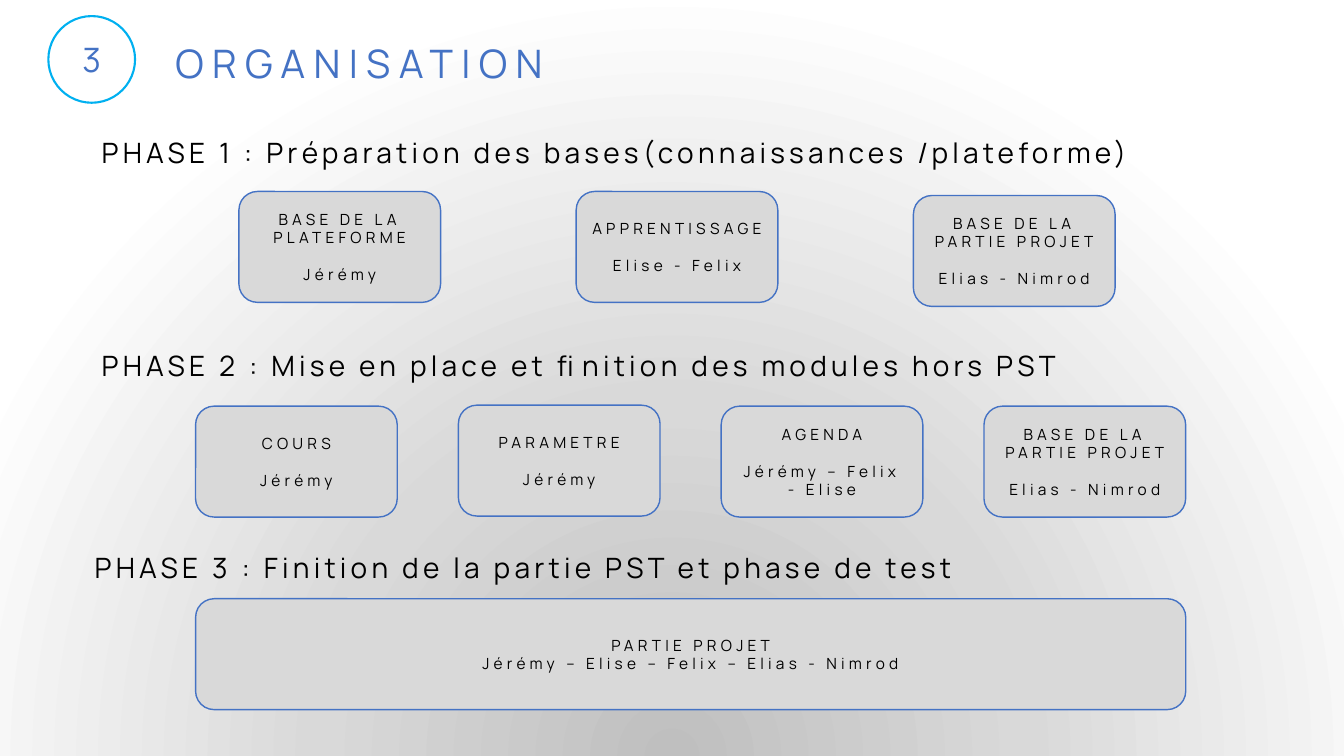
from dataclasses import dataclass

from lxml.etree import fromstring
from pptx import Presentation
from pptx.dml.color import RGBColor
from pptx.enum.shapes import MSO_SHAPE
from pptx.enum.text import MSO_ANCHOR, PP_ALIGN
from pptx.util import Inches, Pt


@dataclass(frozen=True)
class Theme:
    font: str = "Manrope"
    blue: str = "4472C4"
    cyan: str = "00B0F0"
    white: str = "FFFFFF"
    black: str = "000000"
    gray: str = "D9D9D9"
    dark_gray: str = "BFBFBF"
    title_size: int = 28
    number_size: int = 24
    phase_size: int = 20
    box_size: int = 11


theme = Theme()


def write_text(shape, lines, size, color, tracking=0, **paragraph_format):
    """Fill a shape with paragraphs that share one format; tracking is in points."""
    frame = shape.text_frame
    frame.word_wrap = True
    frame.text = "\n".join(lines)
    for paragraph in frame.paragraphs:
        for name, value in paragraph_format.items():
            setattr(paragraph, name, value)
        for run in paragraph.runs:
            font_format = {"name": theme.font, "size": Pt(size), "bold": False}
            for name, value in font_format.items():
                setattr(run.font, name, value)
            run.font.color.rgb = RGBColor.from_string(color)
            run._r.get_or_add_rPr().set("spc", str(tracking * 100))


def add_panel(preset, area, fill, line, line_width):
    """Add a flat shape with centred text; area is left, top, width, height in inches."""
    panel = slide.shapes.add_shape(preset, *map(Inches, area))
    panel.shadow.inherit = False
    panel.fill.solid()
    panel.fill.fore_color.rgb = RGBColor.from_string(fill)
    panel.line.color.rgb = RGBColor.from_string(line)
    panel.line.width = Pt(line_width)
    panel.text_frame.vertical_anchor = MSO_ANCHOR.MIDDLE
    return panel


presentation = Presentation()
presentation.slide_width = Inches(13.33)
presentation.slide_height = Inches(7.5)
slide = presentation.slides.add_slide(presentation.slide_layouts[5])

# Background: circular gradient centred below the slide
stops = "".join(
    f'<a:gs pos="{share * 1000}"><a:srgbClr val="{color}"/></a:gs>'
    for share, color in [(0, theme.dark_gray), (46, theme.gray), (100, theme.white)]
)
background = fromstring(
    '<p:bg xmlns:p="http://schemas.openxmlformats.org/presentationml/2006/main"'
    ' xmlns:a="http://schemas.openxmlformats.org/drawingml/2006/main">'
    f'<p:bgPr><a:gradFill rotWithShape="1"><a:gsLst>{stops}</a:gsLst>'
    '<a:path path="circle">'
    '<a:fillToRect l="50000" t="130000" r="50000" b="-30000"/></a:path>'
    "</a:gradFill><a:effectLst/></p:bgPr></p:bg>"
)
slide.element.cSld.insert(0, background)

# Section number and title
number = add_panel(MSO_SHAPE.OVAL, (0.48, 0.16, 0.86, 0.86), theme.white, theme.cyan, 1.5)
write_text(number, ["3"], theme.number_size, theme.blue, alignment=PP_ALIGN.CENTER)

title = slide.shapes.title
title_place = {"left": 1.64, "top": 0.34, "width": 10.41, "height": 0.57}
for name, value in title_place.items():
    setattr(title, name, Inches(value))
title.text_frame.vertical_anchor = MSO_ANCHOR.TOP
write_text(title, ["ORGANISATION"], theme.title_size, theme.blue, 6, alignment=PP_ALIGN.LEFT)

# Phases: heading, its left and top, first and last box left, row top, box width, boxes
# Each box: task, people, drop below the row top
box_height = 1.1
names_gap = Pt(13.2)
phases = [
    ("PHASE 1 : Préparation des bases(connaissances /plateforme)",
     0.91, 1.13, 2.37, 9.06, 1.9, 2, [
         ("BASE DE LA PLATEFORME", "Jérémy", 0),
         ("APPRENTISSAGE", "Elise - Felix", 0),
         ("BASE DE LA PARTIE PROJET", "Elias - Nimrod", 0.04)]),
    ("PHASE 2 : Mise en place et finition des modules hors PST",
     0.91, 3.24, 1.94, 9.76, 4.03, 2, [
         ("COURS", "Jérémy", 0),
         ("PARAMETRE", "Jérémy", -0.01),
         ("AGENDA", "Jérémy – Felix - Elise", 0),
         ("BASE DE LA PARTIE PROJET", "Elias - Nimrod", 0)]),
    ("PHASE 3 : Finition de la partie PST et phase de test",
     0.84, 5.25, 1.94, 1.94, 5.94, 9.82, [
         ("PARTIE PROJET", "Jérémy – Elise – Felix – Elias - Nimrod", 0)]),
]

for heading, left, top, first, last, row_top, box_width, boxes in phases:
    heading_box = slide.shapes.add_textbox(*map(Inches, (left, top, 11.01, 0.56)))
    write_text(heading_box, [heading], theme.phase_size, theme.black, 3, line_spacing=1.5)

    pitch = (last - first) / max(len(boxes) - 1, 1)
    for column, (task, people, drop) in enumerate(boxes):
        area = (first + column * pitch, row_top + drop, box_width, box_height)
        box = add_panel(MSO_SHAPE.ROUNDED_RECTANGLE, area, theme.gray, theme.blue, 1)
        write_text(box, [task, people], theme.box_size, theme.black, 3,
                   alignment=PP_ALIGN.CENTER)
        if len(boxes) > 1:
            box.text_frame.paragraphs[1].space_before = names_gap

presentation.save("out.pptx")
